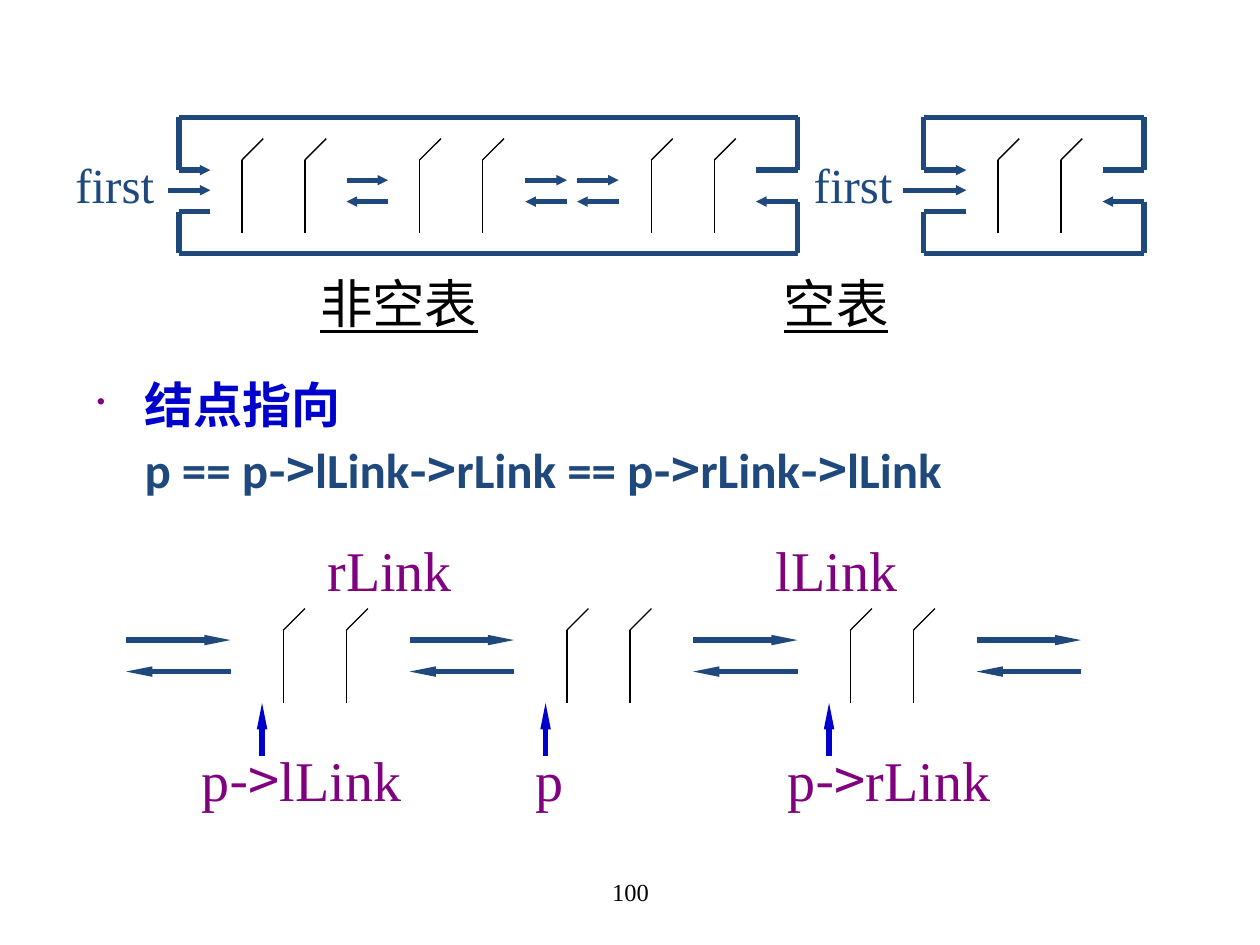
"""Build the slide on circular doubly linked lists and their node links."""
import pptx
import pptx.dml.color
import pptx.enum.shapes
import pptx.enum.text
import pptx.util
from lxml import etree
from pptx.oxml.ns import qn

Inches = pptx.util.Inches
Pt = pptx.util.Pt
RGBColor = pptx.dml.color.RGBColor
PP_ALIGN = pptx.enum.text.PP_ALIGN

NAVY = RGBColor(0x1F, 0x49, 0x7D)
BLUE = RGBColor(0x00, 0x00, 0xCC)
PURPLE = RGBColor(0x80, 0x00, 0x80)
BLACK = RGBColor(0x00, 0x00, 0x00)
SERIF = "Times New Roman"
SANS = "Calibri"
CJK = "Noto Sans CJK SC"


class ListDiagram:
    def __init__(self, slide):
        self.slide = slide
        self.head_length = "sm"

    def line(self, start, end, color=NAVY, width=3, arrow=None):
        connector = self.slide.shapes.add_connector(
            pptx.enum.shapes.MSO_CONNECTOR.STRAIGHT,
            *(Inches(value) for value in (*start, *end)))
        connector.line.color.rgb = color
        connector.line.width = Pt(width)
        properties = connector._element.spPr
        if arrow:
            etree.SubElement(properties.find(qn("a:ln")), qn(f"a:{arrow}"),
                             type="triangle", w="sm", len=self.head_length)
        etree.SubElement(properties, qn("a:effectLst"))

    def polyline(self, points):
        for start, end in zip(points, points[1:]):
            self.line(start, end)

    def node(self, left, top):
        shoulder = top + 0.17
        for x in (left, left + 0.5):
            self.line((x, shoulder), (x, top + 0.75), BLACK, 0.75)
            self.line((x, shoulder), (x + 0.17, top), BLACK, 0.75)

    def link_pair(self, left, length, forward_y, back_y):
        right = left + length
        self.line((left, forward_y), (right, forward_y), arrow="tailEnd")
        self.line((left, back_y), (right, back_y), arrow="headEnd")

    def ring(self, left, right, first_x):
        """Draw the outer links that close a list into a circle."""
        entry, stub = left + 0.25 if left < 2 else left + 0.34, right - 0.33
        top, bottom = 0.93, 2.01
        self.polyline([(left, 1.35), (left, top), (right, top),
                       (right, 1.35), (stub, 1.35)])
        self.polyline([(entry, 1.68), (left, 1.68), (left, bottom),
                       (right, bottom), (right, 1.6)])
        self.line((left, 1.35), (entry, 1.35), arrow="tailEnd")
        self.line((first_x, 1.51), (entry, 1.51), arrow="tailEnd")
        self.line((stub, 1.6), (right, 1.6), arrow="headEnd")

    def box(self, left, top, width, height, wrap=False):
        frame = self.slide.shapes.add_textbox(
            *(Inches(value) for value in (left, top, width, height))).text_frame
        frame.word_wrap = wrap
        return frame

    def style(self, run, size, color, font, bold=None, underline=None):
        run.font.size = Pt(size)
        run.font.color.rgb = color
        run.font.name = font
        run.font.bold = bold
        run.font.underline = underline
        etree.SubElement(run._r.get_or_add_rPr(), qn("a:ea"), typeface=CJK)

    def code(self, paragraph, text, size, color, font, bold=None):
        """Add code whose arrows stand in the wide font."""
        for index, name in enumerate(text.split("->")):
            pieces = [("->", CJK)] if index else []
            for piece, face in pieces + [(name, font)]:
                run = paragraph.add_run()
                run.text = piece
                self.style(run, size, color, face, bold)

    def label(self, text, left, top, width, height, size, color, wrap=False):
        frame = self.box(left, top, width, height, wrap)
        self.code(frame.paragraphs[0], text, size, color, SERIF)
        return frame

    def captions(self, first, second):
        frame = self.box(2.42, 2.09, 6.26, 0.62, wrap=True)
        frame.margin_left = frame.margin_right = Inches(0.12)
        frame.margin_top = frame.margin_bottom = Inches(0.06)
        paragraph = frame.paragraphs[0]
        tabs = etree.SubElement(paragraph._p.get_or_add_pPr(), qn("a:tabLst"))
        etree.SubElement(tabs, qn("a:tab"), pos=str(Inches(3.68)), algn="l")
        for text in (first, "\t", second):
            run = paragraph.add_run()
            run.text = text
            self.style(run, 30, BLACK, CJK, underline=text != "\t")

    def bullet(self, heading, code):
        paragraph = self.box(0.67, 2.88, 9, 1.33, wrap=True).paragraphs[0]
        paragraph.text = heading + "\v"
        paragraph.line_spacing = 1.1
        properties = paragraph._p.get_or_add_pPr()
        properties.set("marL", str(Inches(0.38)))
        properties.set("indent", str(-Inches(0.38)))
        bullet_color = etree.SubElement(properties, qn("a:buClr"))
        etree.SubElement(bullet_color, qn("a:srgbClr"), val=str(PURPLE))
        etree.SubElement(properties, qn("a:buSzPct"), val="50000")
        etree.SubElement(properties, qn("a:buChar"), char="•")
        self.style(paragraph.runs[0], 28, BLUE, SANS, bold=True)
        self.code(paragraph, code, 28, NAVY, SANS, bold=True)


def main():
    presentation = pptx.Presentation()
    presentation.slide_width = Inches(10)
    presentation.slide_height = Inches(7.5)
    diagram = ListDiagram(
        presentation.slides.add_slide(presentation.slide_layouts[6]))

    diagram.bullet("结点指向", "p == p->lLink->rLink == p->rLink->lLink")
    page = diagram.label("100", 3.42, 6.83, 3.17, 0.5, 14, BLACK, wrap=True)
    page.vertical_anchor = pptx.enum.text.MSO_ANCHOR.MIDDLE
    page.paragraphs[0].alignment = PP_ALIGN.CENTER
    diagram.captions("非空表", "空表")

    for left in (1.92, 3.33, 5.17, 7.92):
        diagram.node(left, 1.1)
    for left in (2.75, 4.17, 4.58):
        diagram.link_pair(left, 0.33, 1.43, 1.6)
    for left, right, first_x, label_left in ((1.42, 6.33, 1.33, 0.5),
                                             (7.33, 9.08, 7.17, 6.36)):
        diagram.ring(left, right, first_x)
        diagram.label("first", label_left, 1.18, 0.89, 0.57, 28, NAVY)

    diagram.head_length = "lg"
    pitch = 2.25
    for index in range(4):
        diagram.link_pair(1 + index * pitch, 0.83, 5.08, 5.33)
    for index in range(3):
        diagram.node(2.25 + index * pitch, 4.83)
        pointer_x = 2.08 + index * pitch
        diagram.line((pointer_x, 6), (pointer_x, 5.58), BLUE, arrow="tailEnd")
    for text, left, top, width in (("p->lLink", 1.5, 5.87, 1.93),
                                   ("p", 4.15, 5.87, 0.45),
                                   ("p->rLink", 6.15, 5.87, 2.27),
                                   ("rLink", 2.5, 4.2, 1.31),
                                   ("lLink", 6.06, 4.2, 1.24)):
        diagram.label(text, left, top, width, 0.63, 32, PURPLE, wrap=width > 2)

    presentation.save("out.pptx")


if __name__ == "__main__":
    main()
